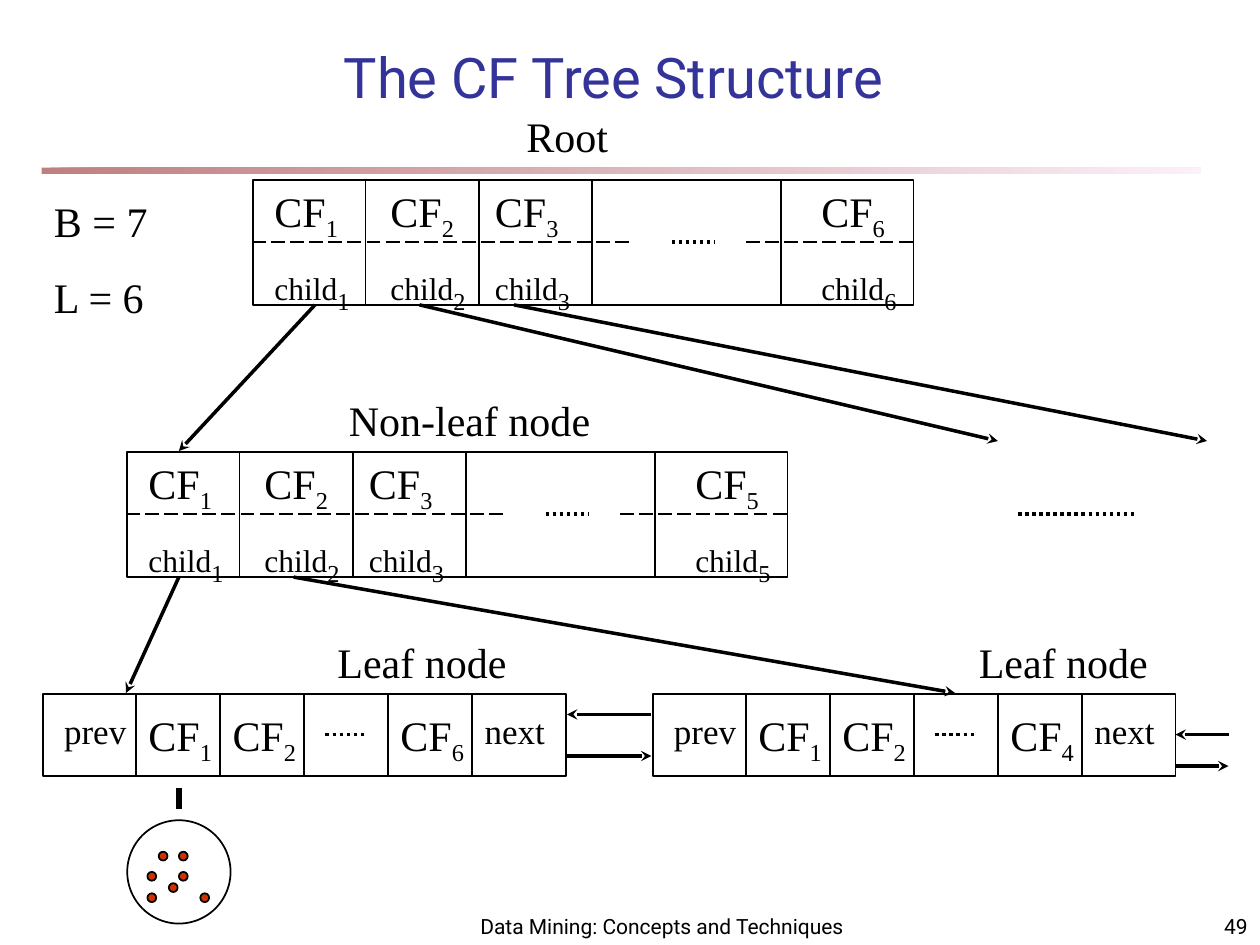
from lxml import etree
from pptx import Presentation
from pptx import util as u
from pptx.dml.color import RGBColor
from pptx.enum import dml, shapes, text
from pptx.oxml import ns

Inches = u.Inches
BLACK = RGBColor(0x00, 0x00, 0x00)
NAVY = RGBColor(0x33, 0x33, 0x99)
RED = RGBColor(0xCC, 0x33, 0x00)
MAROON = RGBColor(0x80, 0x00, 0x00)
PINK = RGBColor(0xFA, 0xE2, 0xF6)
SERIF, SANS = "Times New Roman", "Roboto"
DASH, DOTS = dml.MSO_LINE.LONG_DASH, dml.MSO_LINE.ROUND_DOT
LEFT, CENTER, RIGHT = text.PP_ALIGN.LEFT, text.PP_ALIGN.CENTER, text.PP_ALIGN.RIGHT
TOP, BOTTOM = text.MSO_ANCHOR.TOP, text.MSO_ANCHOR.BOTTOM


def apply(target, values):
    for name, value in values.items():
        setattr(target, name, value)


def add_text(page, box, lines, size=24, face=SERIF, color=BLACK, align=LEFT, anchor=TOP):
    """Each line is a list of (words, size, is_subscript) or a plain string."""
    frame = page.shapes.add_textbox(*map(Inches, box)).text_frame
    apply(frame, {"word_wrap": True, "vertical_anchor": anchor})
    for index, line in enumerate(lines):
        para = frame.paragraphs[0] if index == 0 else frame.add_paragraph()
        para.alignment = align
        if index:
            para.space_before = u.Pt(15)
        parts = [(line, size, False)] if isinstance(line, str) else line
        for words, points, lowered in parts:
            span = para.add_run()
            span.text = words
            apply(span.font, {"size": u.Pt(points), "name": face})
            span.font.color.rgb = color
            if lowered:
                span.font._element.set("baseline", "-25000")


def add_indexed(page, left, top, word, number, size=24, width=0.75):
    add_text(page, (left, top, width, 0.56),
             [[(word, size, False), (str(number), 24, True)]])


def add_line(page, start, end, width=1, dash=None, arrow=False):
    line = page.shapes.add_connector(
        shapes.MSO_CONNECTOR.STRAIGHT, *map(Inches, (*start, *end)))
    line.line.color.rgb = BLACK
    line.line.width = u.Pt(width)
    if dash is not None:
        line.line.dash_style = dash
    if arrow:
        tail = etree.SubElement(line.line._get_or_add_ln(), ns.qn("a:tailEnd"))
        tail.set("type", "stealth")
    etree.SubElement(line._element.spPr, ns.qn("a:effectLst"))


def add_outline(page, box, kind=shapes.MSO_SHAPE.RECTANGLE, fill=None):
    shape = page.shapes.add_shape(kind, *map(Inches, box))
    shape.shadow.inherit = False
    shape.line.color.rgb = BLACK
    shape.line.width = u.Pt(1)
    if fill is None:
        shape.fill.background()
    else:
        shape.fill.solid()
        shape.fill.fore_color.rgb = fill


def add_frame(page, box):
    """Title, rule below it, and footer."""
    left, top, width, height = box
    rule = page.shapes.add_shape(shapes.MSO_SHAPE.RECTANGLE, *map(
        Inches, (left + 0.33, top + 1.33, 9.2, 0.05)))
    rule.shadow.inherit = False
    rule.line.fill.background()
    rule.fill.gradient()
    rule.fill.gradient_angle = 0
    for stop, color in zip(rule.fill.gradient_stops, (MAROON, PINK)):
        stop.color.rgb = color
    for color in rule._element.spPr.iter(ns.qn("a:srgbClr")):
        etree.SubElement(color, ns.qn("a:alpha")).set("val", "50000")

    footer_top = top + height - 0.42
    add_text(page, (left + 3.67, footer_top, 3.17, 0.42),
             ["Data Mining: Concepts and Techniques"], 12, SANS, align=CENTER, anchor=BOTTOM)
    add_text(page, (left + width - 2.08, footer_top, 2.08, 0.42),
             ["49"], 12, SANS, align=RIGHT, anchor=BOTTOM)
    add_text(page, (left + 0.74, top + 0.25, 8.26, 0.67),
             ["The CF Tree Structure"], 32, SANS, NAVY, CENTER, BOTTOM)


def add_inner_node(page, box, last):
    """Node whose cells hold a CF entry above a child pointer."""
    left, top, width, height = box
    middle = top + height / 2
    add_outline(page, (left + 0.01, top + 0.01, width - 0.01, height - 0.01))
    for offset in (0.9, 1.8, 2.7, 4.2):
        add_line(page, (left + offset, top), (left + offset, top + height))
    for start, end in ((0, 3), (3.92, width)):
        add_line(page, (left + start, middle), (left + end, middle), dash=DASH)
    add_line(page, (left + 3.33, middle), (left + 3.67, middle), 2, DOTS)
    for offset, number in ((0.08, 1), (1, 2), (1.83, 3), (4.42, last)):
        add_indexed(page, left + offset, top, "CF", number)
        add_indexed(page, left + offset, top + 0.58, "child", number, 18, 1)


def add_leaf(page, box, last):
    """Leaf with prev and next links around its CF entries."""
    left, top, width, height = box
    add_outline(page, (left + 0.01, top + 0.01, width - 0.02, height - 0.02))
    dividers = [left + 0.75 + cell * 2 / 3 for cell in range(5)]
    for x in dividers:
        add_line(page, (x, top), (x, top + height))
    for x, number in zip((dividers[0], dividers[1], dividers[3]), (1, 2, last)):
        add_indexed(page, x, top + 0.08, "CF", number)
    dots = dividers[2] + 0.17
    add_line(page, (dots, top + 0.33), (dots + 0.33, top + 0.33), 2, DOTS)
    for x, word in ((left + 0.08, "prev"), (dividers[4], "next")):
        add_text(page, (x, top + 0.08, 0.75, 0.43), [word], 20)


def add_cluster(page, box):
    """Circle of data points under a leaf entry."""
    left, top, width, height = box
    oval = shapes.MSO_SHAPE.OVAL
    for x, y in ((0.25, 0.25), (0.41, 0.41), (0.41, 0.25), (0.16, 0.58),
                 (0.16, 0.41), (0.33, 0.5), (0.58, 0.58)):
        add_outline(page, (left + x, top + y, 0.07, 0.07), oval, RED)
    add_outline(page, box, oval)
    center = left + width / 2
    add_line(page, (center, top - 0.26), (center, top - 0.09), 3)


def add_links(page):
    """Arrows between nodes, and dots for the nodes left out."""
    for start, end in (
        ((2.5, 2.42), (1.42, 3.58)), ((3.33, 2.42), (7.92, 3.5)),
        ((4.08, 2.42), (9.58, 3.5)), ((1.42, 4.58), (1, 5.5)),
        ((2.33, 4.58), (7.58, 5.5)), ((5.17, 5.67), (4.5, 5.67)),
        ((4.5, 6), (5.17, 6)), ((9.33, 6.08), (9.75, 6.08)),
        ((9.75, 5.83), (9.33, 5.83)),
    ):
        add_line(page, start, end, 2, arrow=True)
    add_line(page, (8.08, 4.08), (9, 4.08), 2, DOTS)


def add_captions(page):
    """Tree parameters and node names."""
    add_text(page, (0.33, 1.5, 1.17, 1.11), ["B = 7", "L = 6"])
    for left, top, width, words in (
        (4.08, 0.83, 1.08, "Root"), (2.67, 3.08, 2.17, "Non-leaf node"),
        (2.58, 5, 1.58, "Leaf node"), (7.67, 5, 1.58, "Leaf node"),
    ):
        add_text(page, (left, top, width, 0.5), [words])


def main():
    deck = Presentation()
    apply(deck, {"slide_width": Inches(10), "slide_height": Inches(7.5)})
    page = deck.slides.add_slide(deck.slide_layouts[6])
    add_frame(page, (0, 0, 10, 7.5))
    add_inner_node(page, (2, 1.42, 5.25, 1), last=6)
    add_inner_node(page, (1, 3.58, 5.25, 1), last=5)
    add_leaf(page, (0.33, 5.5, 4.17, 0.67), last=6)
    add_leaf(page, (5.17, 5.5, 4.17, 0.67), last=4)
    add_links(page)
    add_captions(page)
    add_cluster(page, (1.01, 6.51, 0.82, 0.82))
    deck.save("out.pptx")


if __name__ == "__main__":
    main()
